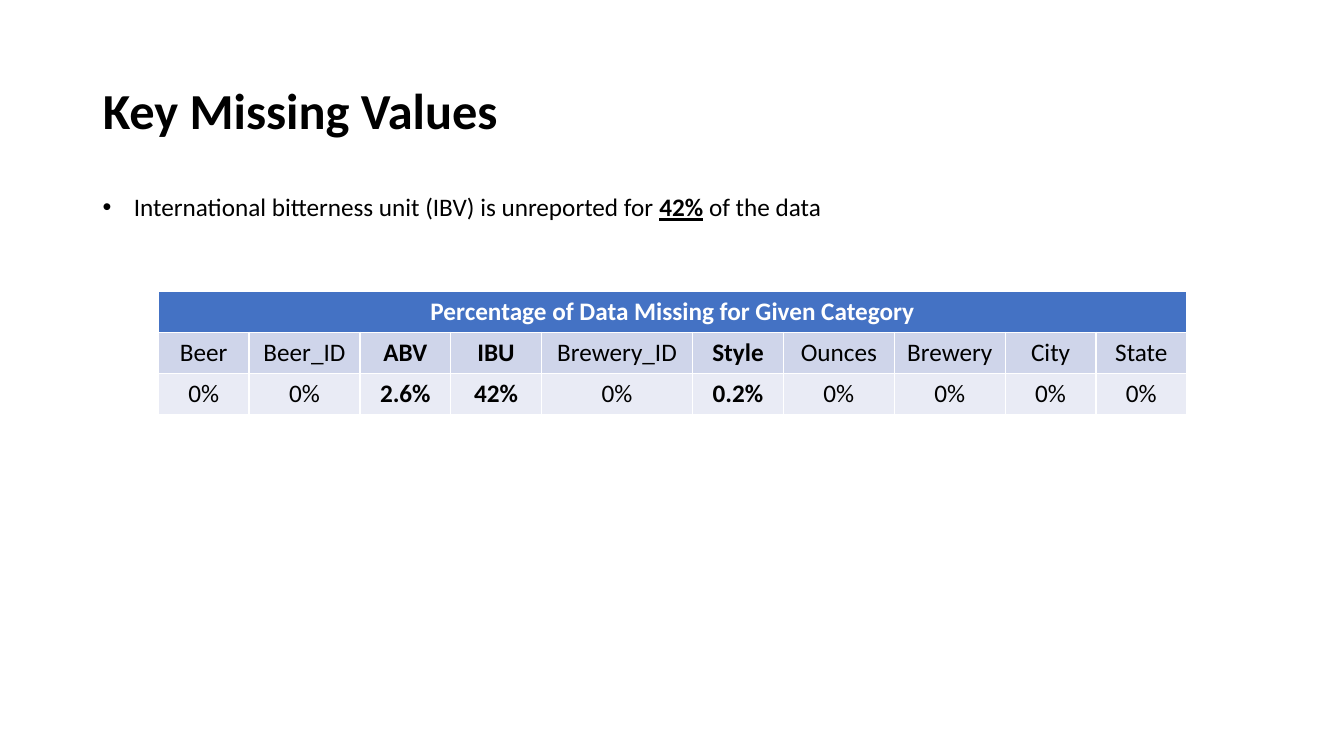
from lxml.etree import SubElement
from pptx import Presentation
from pptx.dml.color import RGBColor
from pptx.enum.text import MSO_ANCHOR, MSO_AUTO_SIZE, PP_ALIGN
from pptx.oxml.ns import qn
from pptx.util import Inches, Pt

COLORS = {
    "text": "000000",
    "header_text": "FFFFFF",
    "header": "4472C4",
    "categories": "CFD5EA",
    "shares": "E9EBF5",
}
FONT = "Calibri"
MISSING = [
    ("Beer", "0%", 0.9),
    ("Beer_ID", "0%", 1.1),
    ("ABV", "2.6%", 0.9),
    ("IBU", "42%", 0.9),
    ("Brewery_ID", "0%", 1.5),
    ("Style", "0.2%", 0.9),
    ("Ounces", "0%", 1.1),
    ("Brewery", "0%", 1.1),
    ("City", "0%", 0.9),
    ("State", "0%", 0.9),
]


def write(paragraph, text, size=18, color="text", bold=False, underline=False,
          align=PP_ALIGN.LEFT):
    """Add one formatted run to a paragraph."""
    paragraph.alignment = align
    run = paragraph.add_run()
    run.text = text
    font = run.font
    font.name, font.size = FONT, Pt(size)
    font.bold, font.underline = bold, underline
    font.color.rgb = RGBColor.from_string(COLORS[color])


def place_title(slide, left, top, width, height):
    """Move the title placeholder to its box and fill it."""
    title = slide.shapes.title
    title.left, title.top = Inches(left), Inches(top)
    title.width, title.height = Inches(width), Inches(height)
    frame = title.text_frame
    frame.vertical_anchor = MSO_ANCHOR.MIDDLE
    heading = frame.paragraphs[0]
    heading.line_spacing = 0.9
    write(heading, "Key Missing Values", size=36, bold=True)


def add_finding(slide, left, top, width, height):
    """Add the bulleted finding above the table."""
    box = slide.shapes.add_textbox(
        Inches(left), Inches(top), Inches(width), Inches(height))
    frame = box.text_frame
    frame.word_wrap = True
    frame.auto_size = MSO_AUTO_SIZE.SHAPE_TO_FIT_TEXT
    finding = frame.paragraphs[0]
    write(finding, "International bitterness unit (IBV) is unreported for ")
    write(finding, "42%", bold=True, underline=True)
    write(finding, " of the data")
    properties = finding._p.get_or_add_pPr()
    indent = Inches(0.31)
    properties.set("marL", str(indent))
    properties.set("indent", str(-indent))
    SubElement(properties, qn("a:buFont"), typeface="Arial")
    SubElement(properties, qn("a:buChar"), char="•")


def fill_cell(cell, text, fill, **text_format):
    """Colour a table cell and write its centred text."""
    cell.fill.solid()
    cell.fill.fore_color.rgb = RGBColor.from_string(COLORS[fill])
    write(cell.text_frame.paragraphs[0], text, align=PP_ALIGN.CENTER,
          **text_format)


def add_missing_table(slide, left, top, width, height):
    """Add the table of missing shares, with nonzero ones in bold."""
    table = slide.shapes.add_table(
        3, len(MISSING), Inches(left), Inches(top), Inches(width),
        Inches(height)).table
    header = table.cell(0, 0)
    header.merge(table.cell(0, len(MISSING) - 1))
    fill_cell(header, "Percentage of Data Missing for Given Category",
              "header", color="header_text", bold=True)
    for column, (category, share, column_width) in enumerate(MISSING):
        table.columns[column].width = Inches(column_width)
        incomplete = share != "0%"
        fill_cell(table.cell(1, column), category, "categories",
                  bold=incomplete)
        fill_cell(table.cell(2, column), share, "shares", bold=incomplete)


def main():
    """Build and save the slide."""
    presentation = Presentation()
    presentation.slide_width = Inches(13.33)
    presentation.slide_height = Inches(7.5)
    slide = presentation.slides.add_slide(presentation.slide_layouts[5])
    place_title(slide, 0.92, 0.4, 11.5, 1.45)
    add_finding(slide, 0.92, 1.85, 11.5, 0.4)
    add_missing_table(slide, 1.57, 2.89, 10.2, 1.22)
    presentation.save("out.pptx")


if __name__ == "__main__":
    main()
